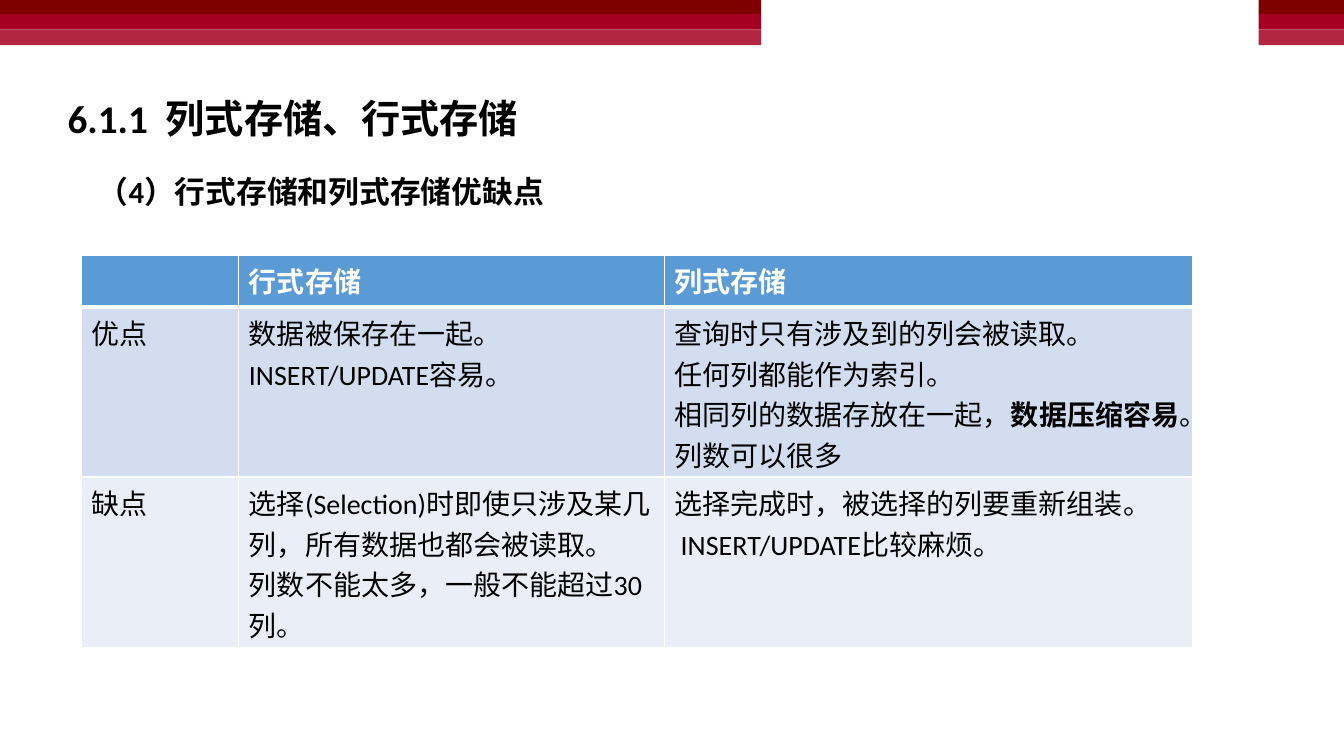
from dataclasses import dataclass

from lxml.etree import SubElement
from pptx import Presentation
from pptx.dml.color import RGBColor
from pptx.enum.shapes import MSO_SHAPE
from pptx.enum.text import MSO_ANCHOR, MSO_AUTO_SIZE, PP_ALIGN
from pptx.oxml.ns import qn
from pptx.util import Cm, Pt

FONT = "Calibri"
BLACK, WHITE = "000000", "FFFFFF"
EMPHASIS = "数据压缩容易"


@dataclass
class Band:
    """One horizontal stripe of the top decoration."""
    height: float
    colour: str


@dataclass
class Heading:
    """Text, frame in centimetres and font size of a heading."""
    text: str
    left: float
    top: float
    width: float
    height: float
    size: float


@dataclass
class Row:
    """One table row: height, colours and the lines of each cell."""
    height: float
    fill: str
    colour: str
    bold: bool
    cells: list[str]
    bottom_border: float = 1


BANDS = [Band(0.36, "800000"), Band(0.38, "A50021"), Band(0.4, "B22642")]
BAND_SPANS = [(0, 19.18), (31.72, 2.15)]
TITLE = Heading("6.1.1  列式存储、行式存储", 1.45, 2.26, 14.15, 1.45, 28)
SUBTITLE = Heading("（4）行式存储和列式存储优缺点", 2.21, 4.22, 15.29, 1.19, 22)
COLUMN_WIDTHS = [3.96, 10.72, 13.31]
ROWS = [
    Row(1.3, "5B9BD5", WHITE, True, ["", "行式存储", "列式存储"], 3),
    Row(4.29, "D2DEEF", BLACK, False, [
        "优点",
        "数据被保存在一起。\nINSERT/UPDATE容易。",
        "查询时只有涉及到的列会被读取。\n任何列都能作为索引。\n"
        "相同列的数据存放在一起，数据压缩容易。\n列数可以很多",
    ]),
    Row(4.29, "EAEFF7", BLACK, False, [
        "缺点",
        "选择(Selection)时即使只涉及某几列，所有数据也都会被读取。\n"
        "列数不能太多，一般不能超过30列。",
        "选择完成时，被选择的列要重新组装。\n INSERT/UPDATE比较麻烦。",
    ]),
]


def rgb(colour: str) -> RGBColor:
    """Turn a hex string into a colour."""
    return RGBColor.from_string(colour)


def format_font(font, size: float, colour: str, bold: bool) -> None:
    """Apply the slide's typeface with the given look."""
    font.name, font.size, font.bold = FONT, Pt(size), bold
    font.color.rgb = rgb(colour)


def draw_bands(slide, left: float, width: float) -> None:
    """Stack the decoration bands from the top edge."""
    top = 0
    for band in BANDS:
        shape = slide.shapes.add_shape(
            MSO_SHAPE.RECTANGLE, Cm(left), Cm(top), Cm(width), Cm(band.height))
        shape.shadow.inherit = False
        shape.fill.solid()
        shape.fill.fore_color.rgb = rgb(band.colour)
        shape.line.fill.background()
        top += band.height


def fill_heading(placeholder, heading: Heading) -> None:
    """Place a placeholder and give it unbulleted bold text."""
    placeholder.left, placeholder.top = Cm(heading.left), Cm(heading.top)
    placeholder.width, placeholder.height = Cm(heading.width), Cm(heading.height)
    text_frame = placeholder.text_frame
    text_frame.text = heading.text
    text_frame.word_wrap = True
    text_frame.auto_size = MSO_AUTO_SIZE.SHAPE_TO_FIT_TEXT
    text_frame.vertical_anchor = MSO_ANCHOR.TOP
    paragraph = text_frame.paragraphs[0]
    paragraph.alignment = PP_ALIGN.LEFT
    paragraph.space_before = Pt(0)
    properties = paragraph._p.get_or_add_pPr()
    properties.set("marL", "0")
    properties.set("indent", "0")
    SubElement(properties, qn("a:buNone"))
    format_font(paragraph.runs[0].font, heading.size, BLACK, True)


def add_borders(cell, bottom_width: float) -> None:
    """Draw white cell borders with a chosen bottom width."""
    properties = cell._tc.get_or_add_tcPr()
    for side in "LRTB":
        width = bottom_width if side == "B" else 1
        line = SubElement(properties, qn(f"a:ln{side}"), w=str(Pt(width)))
        fill = SubElement(line, qn("a:solidFill"))
        SubElement(fill, qn("a:srgbClr"), val=WHITE)


def fill_cell(cell, text: str, row: Row) -> None:
    """Write a cell, setting the emphasised phrase in bold."""
    add_borders(cell, row.bottom_border)
    cell.fill.solid()
    cell.fill.fore_color.rgb = rgb(row.fill)
    cell.text_frame.text = text
    for paragraph in cell.text_frame.paragraphs:
        before, phrase, after = paragraph.text.partition(EMPHASIS)
        paragraph.text = before
        for part in filter(None, (phrase, after)):
            paragraph.add_run().text = part
        format_font(paragraph.font, 20, row.colour, row.bold)
        for run in paragraph.runs:
            format_font(run.font, 20, row.colour, row.bold or run.text == EMPHASIS)


def draw_table(slide) -> None:
    """Draw the comparison of row and column storage."""
    table = slide.shapes.add_table(
        len(ROWS), len(COLUMN_WIDTHS), Cm(2.06), Cm(6.43),
        Cm(sum(COLUMN_WIDTHS)), Cm(sum(row.height for row in ROWS))).table
    for column, width in zip(table.columns, COLUMN_WIDTHS):
        column.width = Cm(width)
    for table_row, row in zip(table.rows, ROWS):
        table_row.height = Cm(row.height)
        for cell, text in zip(table_row.cells, row.cells):
            fill_cell(cell, text, row)


def main() -> None:
    """Build the slide and save it."""
    presentation = Presentation()
    presentation.slide_width, presentation.slide_height = Cm(33.87), Cm(19.05)
    slide = presentation.slides.add_slide(presentation.slide_layouts[1])
    for left, width in BAND_SPANS:
        draw_bands(slide, left, width)
    fill_heading(slide.shapes.title, TITLE)
    fill_heading(slide.placeholders[1], SUBTITLE)
    draw_table(slide)
    presentation.save("out.pptx")


if __name__ == "__main__":
    main()
